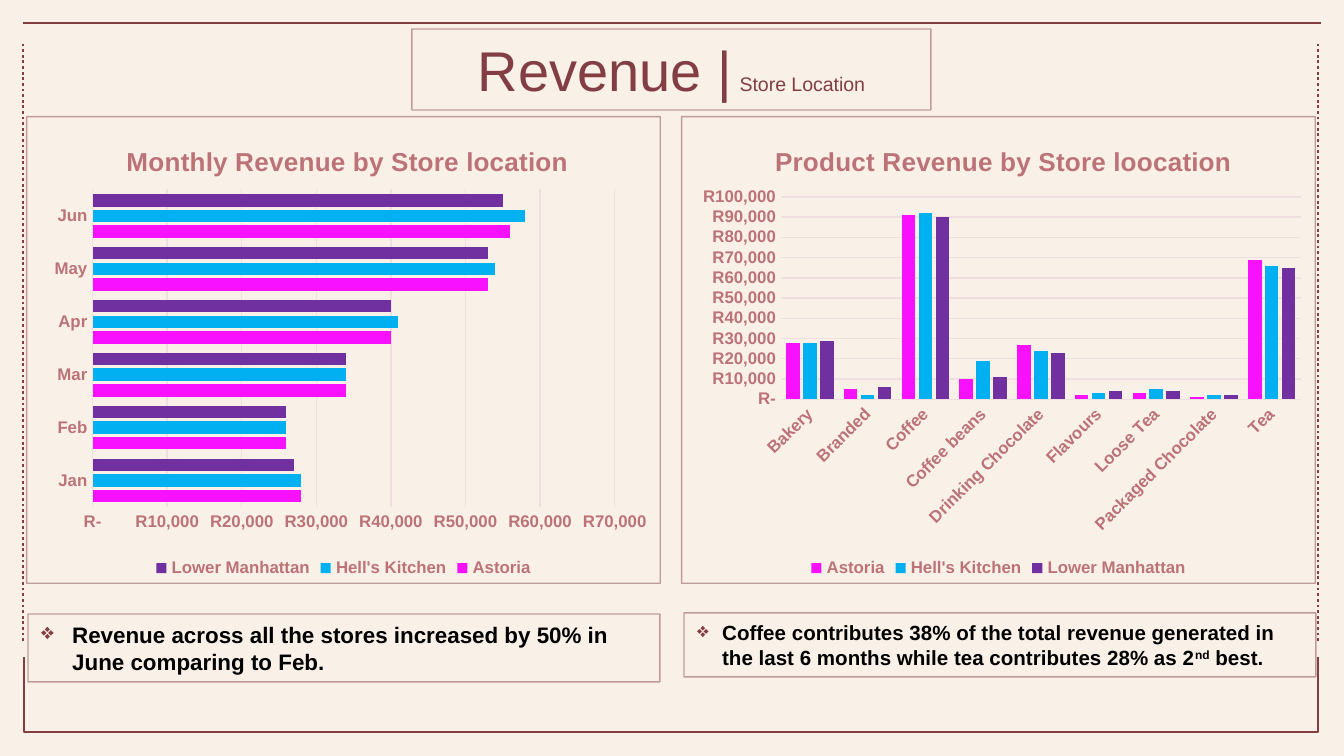
"""Build the store revenue slide with two charts and their takeaways."""
from dataclasses import dataclass

from lxml import etree
from pptx import Presentation, util as u
from pptx.chart.data import CategoryChartData
from pptx.dml.color import RGBColor
from pptx.enum import chart as ch, dml, shapes, text
from pptx.oxml import parse_xml
from pptx.oxml.ns import nsdecls, qn


@dataclass(frozen=True)
class Theme:
    font: str = "Arial"
    paper: str = "F9F0E8"
    wine: str = "823E43"
    rose: str = "BC7378"
    grid: str = "F0DFE0"
    ink: str = "000000"
    rule: float = 1.5
    hairline: float = 0.75
    border_alpha: int = 47000
    heading: float = 30
    gap: float = 15
    subheading: float = 10.5
    chart_title: float = 14
    label: float = 9


THEME = Theme()
PX = 914400 / 134.4
SLIDE = (1344, 756)
HEADING_BOX = (412, 29, 519, 81)
HEADING = [("Revenue |", THEME.heading), (" ", THEME.gap), ("Store Location", THEME.subheading)]
RULES = [((23, 23), (1321, 23), False),
         ((23, 641), (23, 41), True),
         ((1318, 641), (1318, 41), True)]
BRACKET = [(24, 657), (24, 732), (1318, 732), (1318, 657)]
STORES = {"Astoria": "F711FF", "Hell's Kitchen": "00B0F0", "Lower Manhattan": "7030A0"}
MONEY = '"R"#,##0;("R"#,##0);"R-"'

CHARTS = [
    dict(title="Monthly Revenue by Store location", box=(26, 116, 635, 468),
         kind=ch.XL_CHART_TYPE.BAR_CLUSTERED, top=70000, turn=0,
         title_at=(0.15, 0.05), plot=(0.104, 0.156, 0.824, 0.681),
         categories=["Jan", "Feb", "Mar", "Apr", "May", "Jun"],
         thousands=[(28, 26, 34, 40, 53, 56),
                    (28, 26, 34, 41, 54, 58),
                    (27, 26, 34, 40, 53, 55)]),
    dict(title="Product Revenue by Store loocation", box=(681, 116, 635, 468),
         kind=ch.XL_CHART_TYPE.COLUMN_CLUSTERED, top=100000, turn=-45,
         title_at=(0.14, 0.05), plot=(0.157, 0.172, 0.82, 0.434),
         categories=["Bakery", "Branded", "Coffee", "Coffee beans", "Drinking Chocolate",
                     "Flavours", "Loose Tea", "Packaged Chocolate", "Tea"],
         thousands=[(28, 5, 91, 10, 27, 2, 3, 1, 69),
                    (28, 2, 92, 19, 24, 3, 5, 2, 66),
                    (29, 6, 90, 11, 23, 4, 4, 2, 65)]),
]

TAKEAWAYS = [
    dict(box=(28, 614, 632, 68), size=12, indent=31, runs=[
        ("Revenue across all the stores increased by 50% in June comparing to Feb.", 0)]),
    dict(box=(684, 613, 632, 64), size=11, indent=25, runs=[
        ("Coffee contributes 38% of the total revenue generated in the last 6 months "
         "while tea contributes 28% as 2", 0), ("nd", 30), (" best.", 0)]),
]


def px(*lengths):
    return [round(length * PX) for length in lengths]


def style_font(font, size, color, bold=False):
    font.name, font.size, font.bold = THEME.font, u.Pt(size), bold
    font.color.rgb = RGBColor.from_string(color)


def write(paragraph, words, size, color, bold=False, raised=0):
    run = paragraph.add_run()
    run.text = words
    style_font(run.font, size, color, bold)
    if raised:
        run.font._element.set("baseline", str(raised * 1000))


def style_line(line, color, width):
    line.color.rgb = RGBColor.from_string(color)
    line.width = u.Pt(width)


def add_box(slide, box):
    frame = slide.shapes.add_shape(shapes.MSO_SHAPE.RECTANGLE, *px(*box))
    frame.shadow.inherit = False
    frame.fill.background()
    style_line(frame.line, THEME.wine, THEME.hairline)
    color = frame._element.spPr.find(".//" + qn("a:ln")).find(".//" + qn("a:srgbClr"))
    etree.SubElement(color, qn("a:alpha"), val=str(THEME.border_alpha))
    frame.text_frame.word_wrap = True
    frame.text_frame.vertical_anchor = text.MSO_ANCHOR.MIDDLE
    return frame.text_frame.paragraphs[0]


def add_frame(slide):
    builder = slide.shapes.build_freeform(*px(*BRACKET[0]))
    builder.add_line_segments([tuple(px(*point)) for point in BRACKET[1:]], close=False)
    bracket = builder.convert_to_shape()
    bracket.shadow.inherit = False
    bracket.fill.background()
    style_line(bracket.line, THEME.wine, THEME.rule)
    for start, end, dotted in RULES:
        rule = slide.shapes.add_connector(shapes.MSO_CONNECTOR.STRAIGHT, *px(*start, *end))
        style_line(rule.line, THEME.wine, THEME.rule)
        if dotted:
            rule.line.dash_style = dml.MSO_LINE.ROUND_DOT
        etree.SubElement(rule._element.spPr, qn("a:effectLst"))


def layout_xml(places, inner=False):
    target = '<c:layoutTarget val="inner"/>' if inner else ""
    modes = "".join(f'<c:{axis}Mode val="edge"/>' for axis in "xy")
    values = "".join(f'<c:{side} val="{place}"/>' for side, place in zip("xywh", places))
    return parse_xml(f'<c:layout {nsdecls("c")}><c:manualLayout>{target}{modes}{values}'
                     '</c:manualLayout></c:layout>')


def place(element, layout, after=None):
    for old in element.findall(qn("c:layout")):
        element.remove(old)
    if after is None:
        element.insert(0, layout)
    else:
        after.addnext(layout)


def add_revenue_chart(slide, plan):
    data = CategoryChartData(number_format=MONEY)
    data.categories = plan["categories"]
    for store, revenue in zip(STORES, plan["thousands"]):
        data.add_series(store, [value * 1000 for value in revenue])
    chart = slide.shapes.add_chart(plan["kind"], *px(*plan["box"]), data).chart
    style_font(chart.font, 10, THEME.wine)

    title = chart.chart_title
    write(title.text_frame.paragraphs[0], plan["title"], THEME.chart_title, THEME.rose, True)
    title.include_in_layout = False
    place(title._element, layout_xml(plan["title_at"]), title._element.find(qn("c:tx")))
    place(chart._chartSpace.chart.plotArea, layout_xml(plan["plot"], inner=True))

    plot = chart.plots[0]
    plot.gap_width, plot.overlap, plot.vary_by_categories = 75, -25, False
    for series, color in zip(plot.series, STORES.values()):
        series.format.fill.solid()
        series.format.fill.fore_color.rgb = RGBColor.from_string(color)

    categories, values = chart.category_axis, chart.value_axis
    for axis in (categories, values):
        axis.major_tick_mark = axis.minor_tick_mark = ch.XL_TICK_MARK.NONE
        style_font(axis.tick_labels.font, THEME.label, THEME.rose, True)
    style_line(categories.format.line, THEME.grid, THEME.hairline)
    body = categories._element.find(qn("c:txPr")).find(qn("a:bodyPr"))
    body.set("rot", str(plan["turn"] * 60000))
    values.format.line.fill.background()
    values.minimum_scale, values.maximum_scale, values.major_unit = 0, plan["top"], 10000
    values.tick_labels.number_format = MONEY
    values.tick_labels.number_format_is_linked = False
    style_line(values.major_gridlines.format.line, THEME.grid, THEME.hairline)

    chart.has_legend = True
    chart.legend.position = ch.XL_LEGEND_POSITION.BOTTOM
    chart.legend.include_in_layout = False
    style_font(chart.legend.font, THEME.label, THEME.rose, True)
    chart._chartSpace.find(qn("c:txPr")).addprevious(parse_xml(
        f'<c:spPr {nsdecls("c", "a")}><a:noFill/><a:ln w="{u.Pt(THEME.hairline)}"><a:solidFill>'
        f'<a:srgbClr val="{THEME.wine}"><a:alpha val="{THEME.border_alpha}"/></a:srgbClr>'
        '</a:solidFill></a:ln></c:spPr>'))


def add_takeaway(slide, takeaway):
    paragraph = add_box(slide, takeaway["box"])
    paragraph.alignment = text.PP_ALIGN.LEFT
    indent, = px(takeaway["indent"])
    properties = paragraph._p.get_or_add_pPr()
    properties.set("marL", str(indent))
    properties.set("indent", str(-indent))
    bullet_color = etree.SubElement(properties, qn("a:buClr"))
    etree.SubElement(bullet_color, qn("a:srgbClr"), val=THEME.wine)
    etree.SubElement(properties, qn("a:buChar"), char="❖")
    for words, raised in takeaway["runs"]:
        write(paragraph, words, takeaway["size"], THEME.ink, bold=True, raised=raised)


def main():
    deck = Presentation()
    deck.slide_width, deck.slide_height = px(*SLIDE)
    slide = deck.slides.add_slide(deck.slide_layouts[6])
    slide.background.fill.solid()
    slide.background.fill.fore_color.rgb = RGBColor.from_string(THEME.paper)
    add_frame(slide)
    heading = add_box(slide, HEADING_BOX)
    heading.alignment = text.PP_ALIGN.CENTER
    for words, size in HEADING:
        write(heading, words, size, THEME.wine)
    for plan in CHARTS:
        add_revenue_chart(slide, plan)
    for takeaway in TAKEAWAYS:
        add_takeaway(slide, takeaway)
    deck.save("out.pptx")


if __name__ == "__main__":
    main()
